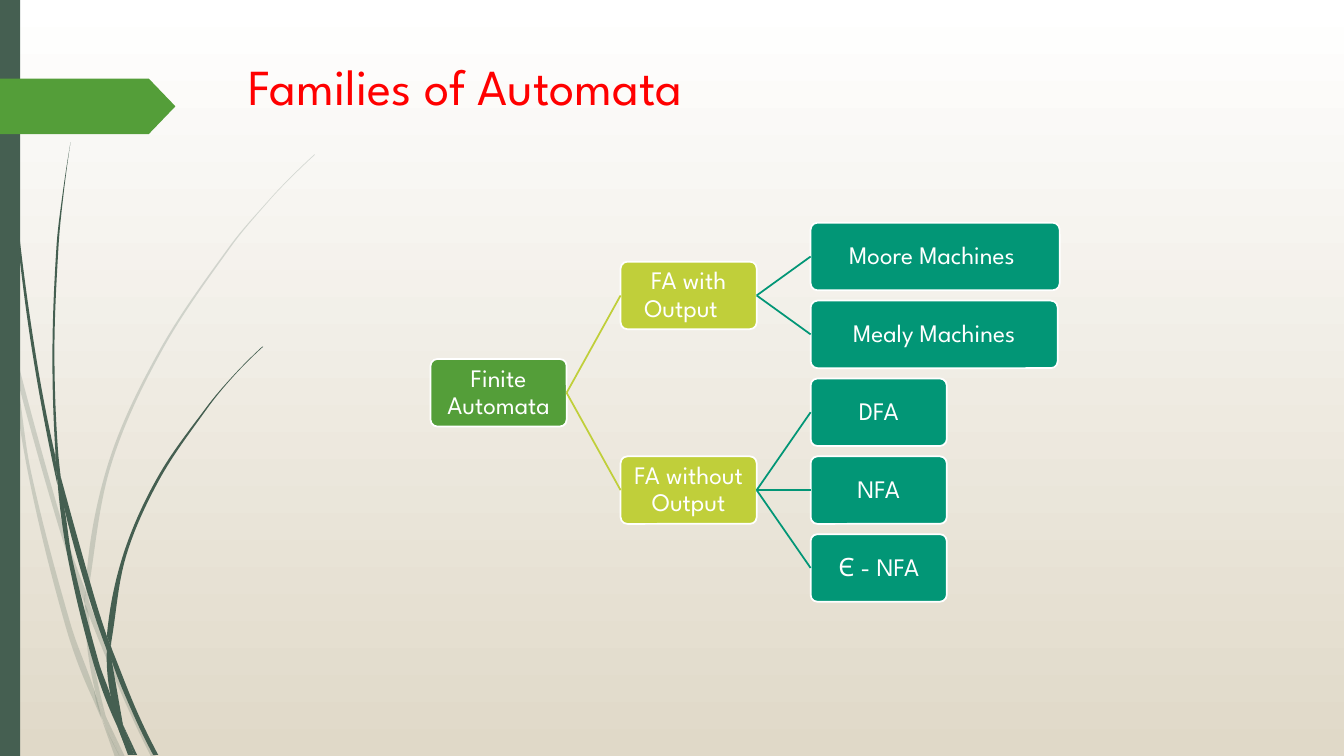
from dataclasses import dataclass
from math import dist

from lxml import etree
from pptx import Presentation
from pptx.dml.color import RGBColor
from pptx.enum.shapes import MSO_CONNECTOR, MSO_SHAPE
from pptx.enum.text import MSO_ANCHOR, PP_ALIGN
from pptx.oxml.ns import qn
from pptx.util import Inches, Pt

RECT, ROUNDED, PENTAGON = MSO_SHAPE.RECTANGLE, MSO_SHAPE.ROUNDED_RECTANGLE, MSO_SHAPE.PENTAGON
STRAIGHT = MSO_CONNECTOR.STRAIGHT
TOP, MIDDLE = MSO_ANCHOR.TOP, MSO_ANCHOR.MIDDLE
LEFT, CENTER = PP_ALIGN.LEFT, PP_ALIGN.CENTER
LEFT_SITE, RIGHT_SITE = 1, 3


@dataclass(frozen=True)
class Theme:
    font: str = "League Spartan"
    title_size: int = 36
    node_size: int = 18
    line_width: float = 1.25
    title: str = "FF0000"
    white: str = "FFFFFF"
    sand: str = "E0D9C8"
    stem: str = "455F51"
    tag: str = "549E39"
    levels: tuple = ("549E39", "C0CF3A", "029676")
    faint: int = 20


THEME = Theme()

FAINT_BLADES = [
    ([(0.11, 3.5), (0.09, 3.22), (0, 2.82)], [(0, 2.99), (0.1, 3.44), (0.11, 3.5)]),
    ([(0.14, 3.45), (0.62, 5.2), (0.85, 5.86)], [(0.84, 5.99), (0.58, 5.22), (0.17, 3.76)]),
    ([(0.88, 5.96), (0.92, 6.07), (1.27, 6.92), (1.55, 7.51)],
     [(1.5, 7.51), (1.23, 6.94), (0.88, 6.1)]),
    ([(1.05, 7.11), (1.24, 7.51)], [(1.19, 7.51), (1.05, 7.11)]),
    ([(0.11, 3.5), (0.17, 3.76), (0.31, 4.69), (0.7, 6.19), (0.93, 6.83), (1.01, 7.14)],
     [(0.92, 6.93), (0.65, 6.21), (0.28, 4.7), (0.11, 3.5)]),
    ([(0.84, 5.99), (0.88, 6.1), (0.91, 6.46), (1.05, 7.11)],
     [(0.96, 6.92), (0.87, 6.46), (0.84, 5.99)]),
    ([(3.12, 1.53), (2.89, 1.75), (2.68, 1.97), (2.28, 2.44), (1.58, 3.48), (1.07, 4.61),
      (0.85, 5.84)],
     [(0.88, 5.96), (0.88, 5.84), (1.1, 4.62), (1.6, 3.49), (2.29, 2.45), (2.68, 1.98),
      (2.9, 1.75), (3.12, 1.54)]),
    ([(1.01, 7.14), (1.14, 7.51)], [(1.19, 7.51), (1.01, 7.14)]),
    ([(0.85, 5.86), (0.84, 5.99), (0.88, 6.1)], [(0.88, 5.96), (0.85, 5.86)]),
    ([(0.93, 6.83), (0.99, 7.07), (1.19, 7.51)], [(1.05, 7.11), (0.96, 6.92), (0.93, 6.83)]),
]
DARK_BLADES = [
    ([(0.03, 0), (0.04, 0.48), (0.07, 1.1), (0.17, 2.33), (0.33, 3.55), (0.57, 4.81)],
     [(0.55, 4.53), (0.36, 3.55), (0.19, 2.32), (0.08, 1.09), (0.05, 0.48), (0.04, 0)]),
    ([(0.6, 4.72), (0.64, 5.05), (0.88, 5.92), (1.06, 6.45)],
     [(1.06, 6.31), (0.93, 5.9), (0.6, 4.72)]),
    ([(1.1, 6.41), (1.11, 6.56), (1.32, 7.08), (1.52, 7.49)],
     [(1.57, 7.49), (1.36, 7.06), (1.13, 6.49), (1.1, 6.41)]),
    ([(0.57, 4.77), (0.68, 5.57), (0.93, 6.59), (1.17, 7.22)],
     [(1.16, 7.17), (1.1, 6.91), (0.98, 6.57), (0.72, 5.56), (0.64, 5.05), (0.57, 4.77)]),
    ([(0.7, 1.41), (0.62, 1.93), (0.56, 2.45), (0.52, 3.49), (0.55, 4.49), (0.6, 4.72)],
     [(0.58, 4.53), (0.54, 3.49), (0.58, 2.45), (0.63, 1.93), (0.7, 1.41)]),
    ([(1.22, 7.19), (1.33, 7.49)], [(1.36, 7.49), (1.22, 7.19)]),
    ([(0.55, 4.49), (0.57, 4.77), (0.64, 5.05)], [(0.6, 4.72), (0.55, 4.49)]),
    ([(2.6, 3.44), (2.31, 3.73), (2.04, 4.05), (1.56, 4.74), (1.22, 5.51), (1.06, 6.31)],
     [(1.1, 6.41), (1.11, 6.33), (1.25, 5.52), (1.58, 4.76), (2.05, 4.06), (2.31, 3.74),
      (2.61, 3.44)]),
    ([(1.17, 7.22), (1.27, 7.49)], [(1.31, 7.49), (1.17, 7.22)]),
    ([(1.06, 6.45), (1.1, 6.91), (1.22, 7.19)], [(1.11, 6.56), (1.06, 6.45)]),
    ([(1.06, 6.31), (1.06, 6.45), (1.11, 6.56)], [(1.1, 6.41), (1.06, 6.31)]),
    ([(1.1, 6.91), (1.17, 7.22), (1.3, 7.49)], [(1.33, 7.49), (1.22, 7.19), (1.1, 6.91)]),
]

FAMILIES = ("Finite Automata", 1.35, [
    ("FA with Output\t", 1.35, [("Moore Machines ", 2.47, []), ("Mealy Machines", 2.45, [])]),
    ("FA without Output", 1.35, [("DFA", 1.35, []), ("NFA", 1.35, []), ("Є - NFA", 1.35, [])]),
])


def rgb(color):
    return RGBColor.from_string(color)


def paint(sp, color, line=None):
    sp.shadow.inherit = False
    sp.fill.solid()
    sp.fill.fore_color.rgb = rgb(color)
    if line:
        sp.line.color.rgb = rgb(line)
        sp.line.width = Pt(THEME.line_width)
    else:
        sp.line.fill.background()


def write(sp, text, size, color, align, spacing, frame):
    tf = sp.text_frame
    for name, value in {"word_wrap": True, **frame}.items():
        setattr(tf, name, value)
    p = tf.paragraphs[0]
    p.alignment, p.line_spacing = align, spacing
    p._p.get_or_add_pPr().set("defTabSz", str(Inches(0.88)))
    r = p.add_run()
    r.text = text
    for name, value in {"name": THEME.font, "size": Pt(size)}.items():
        setattr(r.font, name, value)
    r.font.color.rgb = rgb(color)


def unit(a, b):
    return tuple((v - u) / dist(a, b) for u, v in zip(a, b))


def curve_segments(points):
    chords = [unit(a, b) for a, b in zip(points, points[1:])]
    inner = [unit(a, b) for a, b in zip(points, points[2:])] or [chords[0]]
    first, last = (tuple(2 * c - t for c, t in zip(chord, tangent))
                   for chord, tangent in ((chords[0], inner[0]), (chords[-1], inner[-1])))
    tangents = [first, *(inner if len(points) > 2 else []), last]
    for a, b, ta, tb in zip(points, points[1:], tangents, tangents[1:]):
        reach = dist(a, b) / 3
        yield (tuple(p + t * reach for p, t in zip(a, ta)),
               tuple(p - t * reach for p, t in zip(b, tb)), b)


def add_blade(slide, x, y, edges, alpha=None):
    down, up = edges
    turn = [(down[-1], up[0], up[0])]
    segments = [*curve_segments(down), *turn, *curve_segments(up)]
    outline = [(Inches(x + px), Inches(y + py)) for px, py in [down[0], *(s[2] for s in segments)]]
    builder = slide.shapes.build_freeform(*outline[0], scale=1.0)
    builder.add_line_segments(outline[1:], close=True)
    s = builder.convert_to_shape()
    for line, segment in zip(list(s._element.iter(qn("a:lnTo"))), segments):
        bend = etree.Element(qn("a:cubicBezTo"))
        for px, py in segment:
            pt = etree.SubElement(bend, qn("a:pt"))
            pt.set("x", str(Inches(x + px) - s.left))
            pt.set("y", str(Inches(y + py) - s.top))
        line.getparent().replace(line, bend)
    paint(s, THEME.stem)
    if alpha:
        color = s.fill._xPr.find(qn("a:solidFill"))[0]
        etree.SubElement(color, qn("a:alpha")).set("val", str(alpha * 1000))


def add_side_decoration(slide, x, y, w, h):
    for blades, alpha in ((FAINT_BLADES, THEME.faint), (DARK_BLADES, None)):
        for edges in blades:
            add_blade(slide, x, y, edges, alpha)
    bar = slide.shapes.add_shape(RECT, Inches(x), Inches(y), Inches(0.2), Inches(h))
    paint(bar, THEME.stem)
    tag = slide.shapes.add_shape(PENTAGON, Inches(x), Inches(y + 0.78), Inches(w), Inches(0.55))
    tag.adjustments[0] = 0.48
    paint(tag, THEME.tag)


def add_title(slide, x, y, w, h):
    s = slide.shapes.add_textbox(Inches(x), Inches(y), Inches(w), Inches(h))
    write(s, "Families of Automata", THEME.title_size, THEME.title, LEFT, 1.0,
          {"vertical_anchor": TOP})


def add_node(slide, x, y, w, h, text, color):
    s = slide.shapes.add_shape(ROUNDED, Inches(x), Inches(y), Inches(w), Inches(h))
    s.adjustments[0] = 0.1
    paint(s, color, THEME.white)
    margins = dict.fromkeys(
        ("margin_left", "margin_top", "margin_right", "margin_bottom"), Inches(0.01))
    write(s, text, THEME.node_size, THEME.white, CENTER, 0.9,
          {"vertical_anchor": MIDDLE, **margins})
    return s


def join(slide, parent, child, color):
    c = slide.shapes.add_connector(STRAIGHT, 0, 0, 0, 0)
    c.begin_connect(parent, RIGHT_SITE)
    c.end_connect(child, LEFT_SITE)
    c.line.color.rgb = rgb(color)
    c.line.width = Pt(THEME.line_width)
    etree.SubElement(c._element.spPr, qn("a:effectLst"))


def count_leaves(node):
    return sum(map(count_leaves, node[2])) or 1


def add_tree(slide, x, y, w, h, root, node_h=0.67):
    pitch = (h - node_h) / (count_leaves(root) - 1)
    column = (w - root[1]) / 2

    def place(node, level, first_row):
        text, width, children = node
        placed, row = [], first_row
        for child in children:
            placed.append(place(child, level + 1, row))
            row += count_leaves(child)
        top = sum(t for _, t in placed) / len(placed) if placed else y + first_row * pitch
        s = add_node(slide, x + level * column, top, width, node_h, text, THEME.levels[level])
        for child, _ in placed:
            join(slide, s, child, THEME.levels[level + 1])
        return s, top

    place(root, 0, 0)


def set_background(slide):
    fill = slide.background.fill
    fill.gradient()
    fill.gradient_angle = 270
    for stop, position, color in zip(fill.gradient_stops, (0, 1), (THEME.white, THEME.sand)):
        stop.position = position
        stop.color.rgb = rgb(color)


prs = Presentation()
prs.slide_width, prs.slide_height = Inches(13.33), Inches(7.5)
slide = prs.slides.add_slide(prs.slide_layouts[6])
set_background(slide)
add_side_decoration(slide, 0, 0, 1.74, 7.5)
add_title(slide, 2.37, 0.5, 8.45, 1.3)
add_tree(slide, 4.27, 2.21, 5.12, 3.76, FAMILIES)
prs.save("out.pptx")
